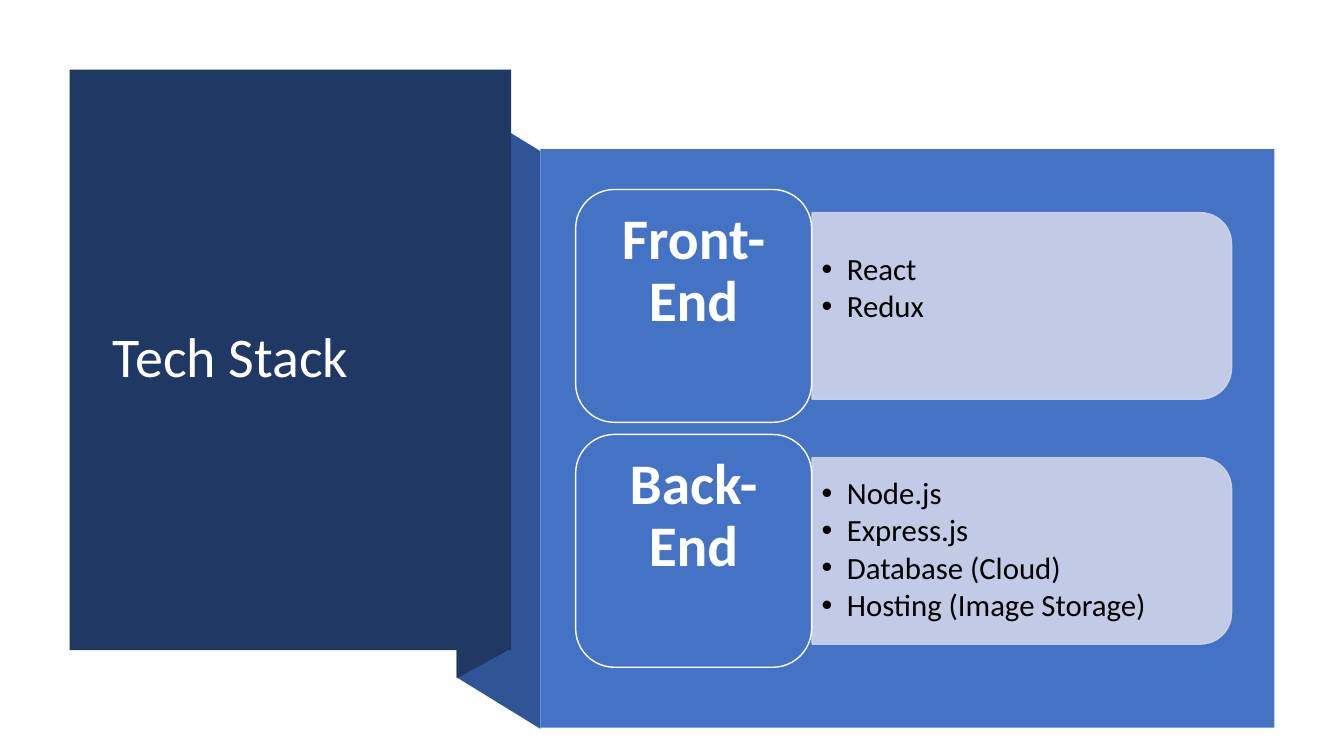
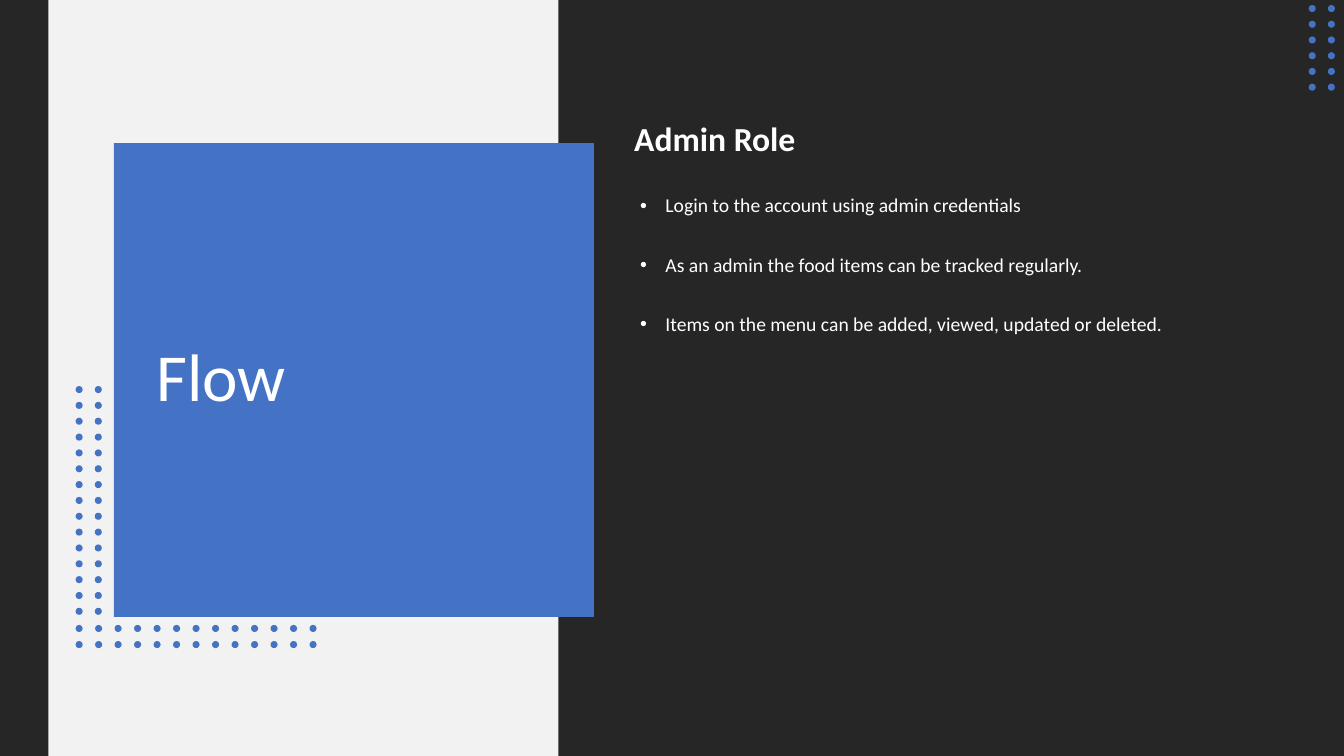
from lxml import etree
from pptx import Presentation
from pptx.dml.color import RGBColor
from pptx.enum.shapes import MSO_SHAPE
from pptx.enum.text import MSO_ANCHOR, MSO_AUTO_SIZE, PP_ALIGN
from pptx.oxml.ns import qn
from pptx.util import Inches, Pt

RECTANGLE = MSO_SHAPE.RECTANGLE
ROUNDED = MSO_SHAPE.ROUNDED_RECTANGLE
ROUND_TOP = MSO_SHAPE.ROUND_2_SAME_RECTANGLE
OVAL = MSO_SHAPE.OVAL
TOP, MIDDLE = MSO_ANCHOR.TOP, MSO_ANCHOR.MIDDLE
LEFT, CENTER = PP_ALIGN.LEFT, PP_ALIGN.CENTER
NO_AUTOFIT = MSO_AUTO_SIZE.NONE

WHITE = RGBColor(0xFF, 0xFF, 0xFF)
BLACK = RGBColor(0x00, 0x00, 0x00)
BLUE = RGBColor(0x44, 0x72, 0xC4)
MID_BLUE = RGBColor(0x2F, 0x55, 0x97)
NAVY = RGBColor(0x20, 0x38, 0x64)
PALE_BLUE = RGBColor(0xCF, 0xD5, 0xEA)
CHARCOAL = RGBColor(0x26, 0x26, 0x26)
LIGHT_GRAY = RGBColor(0xF2, 0xF2, 0xF2)

FONT = "Calibri"
LINE_SPACING = 0.9
DOT_SIZE = 0.07
TWO_CONTENT, TITLE_AND_CONTENT = 3, 1


def spread(first, last, count):
    """Evenly spaced positions from first to last."""
    return [first + (last - first) * i / (count - 1) for i in range(count)]


class Deck:
    """Holds the shared style and the slide being drawn."""

    def __init__(self):
        self.presentation = Presentation()
        self.presentation.slide_width = Inches(13.33)
        self.presentation.slide_height = Inches(7.5)
        self.slide = None

    def new_slide(self, layout, background=WHITE):
        layouts = self.presentation.slide_layouts
        self.slide = self.presentation.slides.add_slide(layouts[layout])
        self.slide.background.fill.solid()
        self.slide.background.fill.fore_color.rgb = background

    def paint(self, shape, fill, line=None, opacity=100):
        shape.shadow.inherit = False
        shape.fill.solid()
        shape.fill.fore_color.rgb = fill
        if line is None:
            shape.line.fill.background()
        else:
            shape.line.color.rgb = line
            shape.line.width = Pt(1)
        if opacity < 100:
            for color in shape.element.spPr.iter(qn("a:srgbClr")):
                etree.SubElement(color, qn("a:alpha")).set("val", str(opacity * 1000))
        return shape

    def shape(self, kind, left, top, width, height, fill, line=None, opacity=100):
        shape = self.slide.shapes.add_shape(
            kind, Inches(left), Inches(top), Inches(width), Inches(height))
        return self.paint(shape, fill, line, opacity)

    def polygon(self, points, fill):
        start, *others = [(Inches(x), Inches(y)) for x, y in points]
        builder = self.slide.shapes.build_freeform(*start)
        builder.add_line_segments(others, close=True)
        return self.paint(builder.convert_to_shape(), fill)

    def dots(self, columns, rows):
        for top in rows:
            for left in columns:
                self.shape(OVAL, left, top, DOT_SIZE, DOT_SIZE, BLUE)

    def place(self, shape, left, top, width, height, anchor):
        """Move a placeholder and bring it in front of the panels."""
        shape.left, shape.top = Inches(left), Inches(top)
        shape.width, shape.height = Inches(width), Inches(height)
        frame = shape.text_frame
        frame.word_wrap = True
        frame.auto_size = NO_AUTOFIT
        frame.vertical_anchor = anchor
        shape.element.getparent().append(shape.element)
        return frame

    def format(self, paragraph, size, color, bold=False, align=LEFT, before=0):
        paragraph.alignment = align
        paragraph.line_spacing = LINE_SPACING
        paragraph.space_before = Pt(before)
        paragraph.space_after = Pt(0)
        for run in paragraph.runs:
            run.font.name = FONT
            run.font.size = Pt(size)
            run.font.bold = bold
            run.font.color.rgb = color

    def bullet(self, paragraph, margin=0, hanging=0, character=None):
        properties = paragraph._p.get_or_add_pPr()
        properties.set("marL", str(Inches(margin)))
        properties.set("indent", str(-Inches(hanging)))
        if character:
            etree.SubElement(properties, qn("a:buChar")).set("char", character)
        else:
            etree.SubElement(properties, qn("a:buNone"))

    def title(self, text, size, left, top, width, height):
        frame = self.place(self.slide.shapes.title, left, top, width, height, MIDDLE)
        frame.text = text
        self.format(frame.paragraphs[0], size, WHITE)

    def body(self, index, items, size, color, box, anchor, margin, gap,
             heading=None, lift=0):
        """Bulleted list in a placeholder, with an optional bold heading."""
        frame = self.place(self.slide.placeholders[index], *box, anchor)
        frame.margin_bottom = Inches(0.05 + lift)
        lines = ([heading] if heading else []) + items
        frame.text = "\n".join(lines)
        for i, paragraph in enumerate(frame.paragraphs):
            before = gap if i else 0
            if heading and i == 0:
                self.bullet(paragraph)
                self.format(paragraph, 24, color, bold=True)
            else:
                self.bullet(paragraph, margin, 0.25, "•")
                self.format(paragraph, size, color, before=before)

    def stack_row(self, index, top, label, items, lift=0):
        """Rounded label with a pale panel of bullets to its right."""
        middle = top + 2.31 / 2
        # The panel is turned a quarter so that its round corners face right
        panel = self.shape(ROUND_TOP, 9.21, middle - 2.08, 1.85, 4.16,
                           PALE_BLUE, PALE_BLUE, opacity=90)
        panel.rotation = 90
        self.body(index, items, 22, BLACK, (8.05, middle - 0.84, 4.07, 1.67),
                  MIDDLE, margin=0.25, gap=3, lift=lift)
        badge = self.shape(ROUNDED, 5.71, top, 2.34, 2.31, BLUE, WHITE)
        frame = badge.text_frame
        frame.word_wrap = True
        frame.vertical_anchor = MIDDLE
        frame.margin_left = frame.margin_right = Inches(0.17)
        frame.margin_top, frame.margin_bottom = Inches(0.09), Inches(0.76)
        frame.text = label
        self.format(frame.paragraphs[0], 41, WHITE, bold=True, align=CENTER)


def tech_stack(deck):
    deck.new_slide(TWO_CONTENT)
    # Folded ribbon behind the title panel
    deck.polygon([(5.36, 7.23), (4.53, 6.72), (4.53, 0.99), (5.36, 1.5)], MID_BLUE)
    deck.polygon([(5.06, 6.44), (4.53, 6.73), (4.53, 0.98), (5.06, 0.69)], NAVY)
    deck.shape(RECTANGLE, 0.69, 0.69, 4.38, 5.76, NAVY)
    deck.title("Tech Stack", 40, 1.02, 1.07, 3.71, 4.99)
    # Technologies
    deck.shape(RECTANGLE, 5.36, 1.48, 7.28, 5.74, BLUE)
    deck.stack_row(1, 1.88, "Front-End", ["React", "Redux"], lift=0.32)
    deck.stack_row(2, 4.31, "Back-End", [
        "Node.js", "Express.js", "Database (Cloud)", "Hosting (Image Storage)"])


def flow(deck):
    deck.new_slide(TITLE_AND_CONTENT, CHARCOAL)
    # Title panel
    deck.shape(RECTANGLE, 0.48, 0, 5.06, 7.5, LIGHT_GRAY)
    deck.shape(RECTANGLE, 1.13, 1.42, 4.76, 4.7, BLUE)
    deck.title("Flow", 48, 1.45, 1.74, 4.1, 4.05)
    # Dot patterns: top right corner, then an L around the panel
    deck.dots([12.98, 13.17], spread(0.05, 0.83, 6))
    deck.dots([0.75, 0.94], spread(3.83, 6.03, 15))
    deck.dots(spread(0.75, 3.07, 13), [6.2, 6.36])
    # Role description
    deck.body(1, [
        "Login to the account using admin credentials",
        "As an admin the food items can be tracked regularly.",
        "Items on the menu can be added, viewed, updated or deleted.",
    ], 14, WHITE, (6.19, 1.16, 5.66, 2.6), TOP, margin=0.31, gap=27,
        heading="Admin Role")


def main():
    deck = Deck()
    tech_stack(deck)
    flow(deck)
    deck.presentation.save("out.pptx")


if __name__ == "__main__":
    main()
